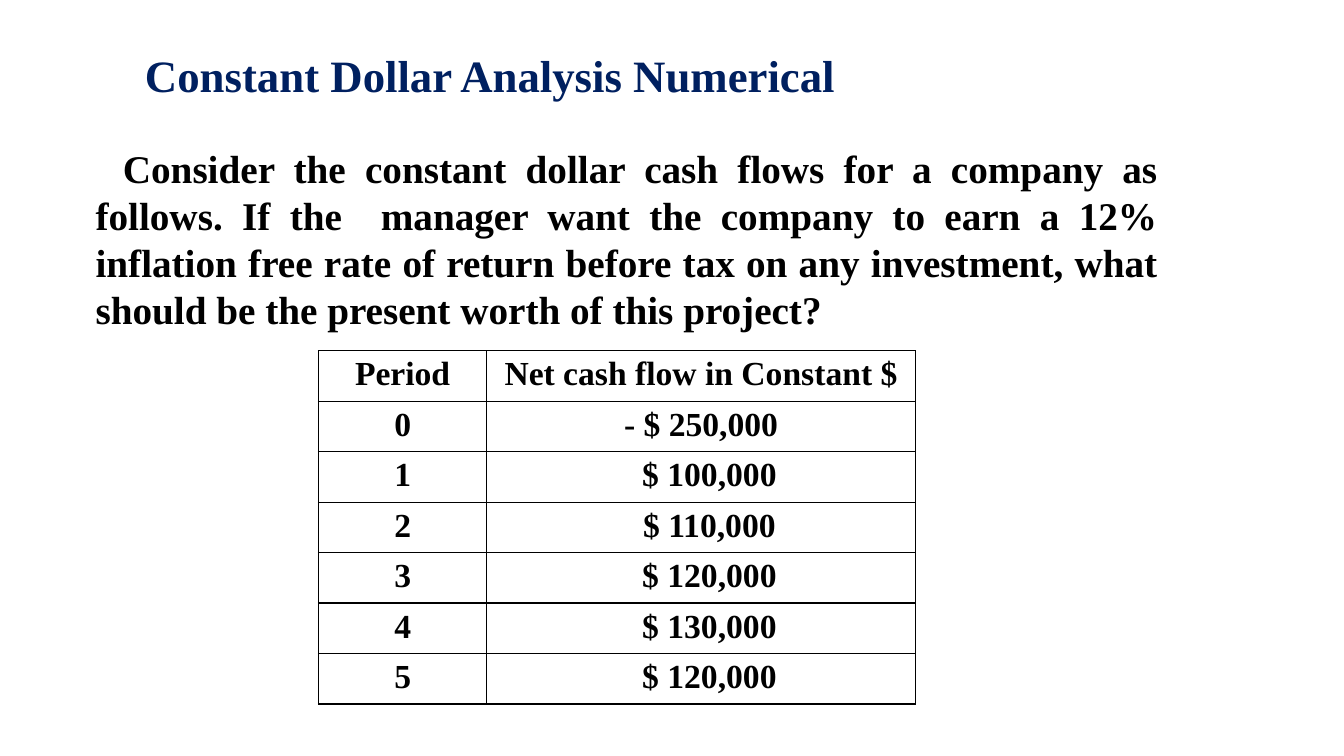
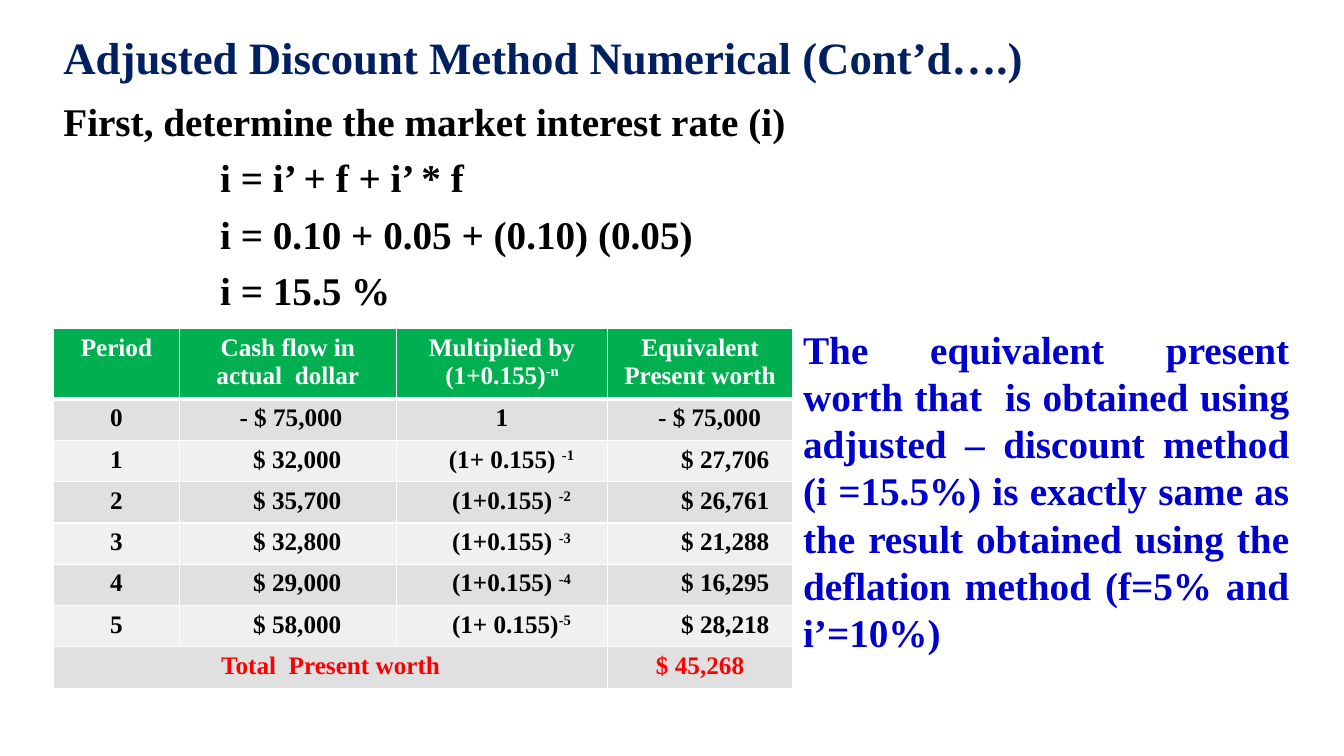
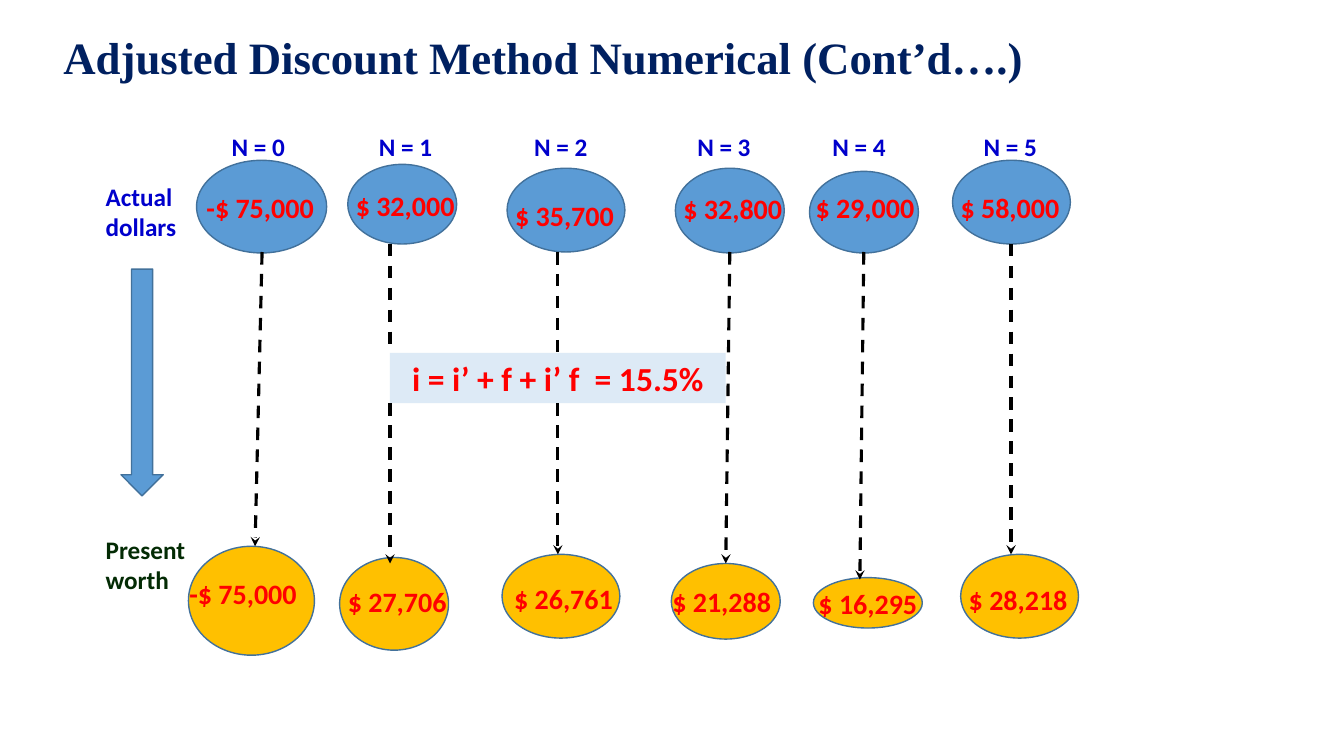
from lxml.etree import SubElement
from pptx import Presentation
from pptx.dml.color import RGBColor
from pptx.enum.dml import MSO_LINE
from pptx.enum.shapes import MSO_CONNECTOR, MSO_SHAPE
from pptx.enum.text import MSO_ANCHOR, PP_ALIGN
from pptx.oxml.ns import qn
from pptx.util import Pt

HUES = {
    "navy": "002060", "black": "000000", "white": "FFFFFF", "red": "FF0000",
    "blue": "0000CC", "pine": "032B04", "green": "00B050", "dark": "E0E0E0",
    "light": "F0F0F0", "sky": "5B9BD5", "edge": "42719B", "gold": "FFC000",
    "pale": "DDEAF6",
}
TONES = {name: RGBColor.from_string(code) for name, code in HUES.items()}
SERIF, SANS = "Times New Roman", "Calibri"


def say(par, text, size, font, tone):
    for spot, part in enumerate(text.split("^")):
        run = par.add_run()
        run.text = part
        run.font.size = Pt(size)
        run.font.name = font
        run.font.bold = True
        run.font.color.rgb = TONES[tone]
        if spot:
            run.font._element.set("baseline", "30000")


def put(page, place, lines, size, font, tone, align=PP_ALIGN.LEFT):
    frame = page.shapes.add_textbox(*map(Pt, place)).text_frame
    frame.word_wrap = True
    for spot, text in enumerate(lines):
        par = frame.add_paragraph() if spot else frame.paragraphs[0]
        par.alignment = align
        say(par, text, size, font, tone)
    return frame


deck = Presentation()
deck.slide_width, deck.slide_height = Pt(960), Pt(540)
pages = [deck.slides.add_slide(deck.slide_layouts[6]) for _ in range(3)]
first, second, third = pages

NEXT = "Adjusted Discount Method Numerical (Cont’d….)"
HEADS = [
    ("Constant Dollar Analysis Numerical", (96.5, 3.6, 828, 104.4)),
    (NEXT, (38.2, 0, 828, 85)),
    (NEXT, (38.2, 0, 828, 85)),
]
for page, (text, place) in zip(pages, HEADS):
    frame = put(page, place, [text], 32, SERIF, "navy")
    frame.vertical_anchor = MSO_ANCHOR.MIDDLE
    frame.paragraphs[0].line_spacing = 0.9

task = put(first, (43.2, 99.4, 790.6, 151.2), [
    "Consider the constant dollar cash flows for a company as follows. If the  manager "
    "want the company to earn a 12% inflation free rate of return before tax on any "
    "investment, what should be the present worth of this project?",
], 28, SERIF, "black", PP_ALIGN.JUSTIFY)
props = task.paragraphs[0]._p.get_or_add_pPr()
props.set("marL", str(Pt(18)))
props.set("indent", str(Pt(19.5)))

steps = put(second, (38.2, 69.8, 828, 342.7), [
    "First, determine the market interest rate (i)",
    "i = i’ + f + i’ * f",
    "i = 0.10 + 0.05 + (0.10) (0.05)",
    "i = 15.5 %",
], 28, SERIF, "black")
for spot, par in enumerate(steps.paragraphs):
    par.line_spacing = 0.9
    if spot:
        par.space_before = Pt(10)
        par._p.get_or_add_pPr().set("marL", str(Pt(112)))

put(second, (566.6, 229, 361.4, 244.8), [
    "The equivalent present worth that  is obtained using adjusted – discount method "
    "(i =15.5%) is exactly same as the result obtained using the deflation method "
    "(f=5% and i’=10%)",
], 28, SERIF, "blue", PP_ALIGN.JUSTIFY)

flows = ["- $ 250,000", "$ 100,000", "$ 110,000", "$ 120,000", "$ 130,000", "$ 120,000"]
cash = ["- $ 75,000", "$ 32,000", "$ 35,700", "$ 32,800", "$ 29,000", "$ 58,000"]
rates = ["1", "(1+ 0.155) ^-1", "(1+0.155) ^-2", "(1+0.155) ^-3", "(1+0.155) ^-4",
         "(1+ 0.155)^-5"]
worth = ["- $ 75,000", "$ 27,706", "$ 26,761", "$ 21,288", "$ 16,295", "$ 28,218"]
years = [str(year) for year in range(6)]

plain = [("Period", "Net cash flow in Constant $"), *zip(years, flows)]
full = [
    ("Period", "Cash flow in actual  dollar", "Multiplied by (1+0.155)^-n",
     "Equivalent Present worth"),
    *zip(years, cash, rates, worth),
    ("Total  Present worth", "", "", "$ 45,268"),
]
GRIDS = [
    (first, (227.5, 250.6), (120.2, 306), plain, 24, "black", 29.5,
     [(0, 0), (0, 12)]),
    (second, (38.2, 234.7), (90, 154.8, 151.2, 131.8), full, 18, "white", 50.4,
     [(0, 4.5, 0, 13.5), (0, 13.5, 13.5, 36)]),
]
for page, (left, top), wides, rows, size, edge, tall, pads in GRIDS:
    high = tall + 29.5 * (len(rows) - 1)
    grid = page.shapes.add_table(
        len(rows), len(wides), Pt(left), Pt(top), Pt(sum(wides)), Pt(high)).table
    for col, wide in zip(grid.columns, wides):
        col.width = Pt(wide)
    rich = page is second
    for r, texts in enumerate(rows):
        grid.rows[r].height = Pt(29.5 if r else tall)
        last = r == 7
        tone = "red" if last else "white" if rich and not r else "black"
        for c, text in enumerate(texts):
            cell = grid.cell(r, c)
            for side in "LRTB":
                thick = rich and (r, side) in ((0, "B"), (1, "T"))
                line = SubElement(cell._tc.get_or_add_tcPr(), qn("a:ln" + side),
                                  w=str(Pt(3 if thick else 1)))
                fill = SubElement(line, qn("a:solidFill"))
                SubElement(fill, qn("a:srgbClr"), val=HUES[edge])
            if rich:
                cell.fill.solid()
                shade = "green" if r == 0 else "dark" if r % 2 else "light"
                cell.fill.fore_color.rgb = TONES["dark" if last else shade]
            else:
                cell.fill.background()
            pad = pads[min(r - 1, 1)][c] if 0 < r < 7 else 0
            cell.margin_left = Pt(7.2 + pad)
            par = cell.text_frame.paragraphs[0]
            par.alignment = PP_ALIGN.CENTER
            if text:
                say(par, text, size, SERIF, tone)
    if rich:
        grid.cell(7, 0).merge(grid.cell(7, 2))

OVAL = MSO_SHAPE.OVAL
FORMS = [
    (OVAL, "sky", (140.4, 114.5, 92.9, 66.2)),
    (OVAL, "sky", (248.4, 117.4, 77.8, 56.9)),
    (OVAL, "sky", (362.2, 120.2, 84.2, 59.8)),
    (OVAL, "sky", (482.4, 120.2, 77.8, 60.5)),
    (OVAL, "sky", (578.2, 122.4, 77.8, 58.3)),
    (OVAL, "sky", (680.4, 114.5, 84.2, 59.8)),
    (OVAL, "gold", (134.6, 390.2, 90, 77.8)),
    (OVAL, "gold", (242.6, 398.2, 77.8, 66.2)),
    (OVAL, "gold", (358.6, 396, 84.2, 59.8)),
    (OVAL, "gold", (479.5, 402.5, 77.8, 54)),
    (OVAL, "gold", (581, 412.6, 77.8, 36)),
    (OVAL, "gold", (686.2, 396, 84.2, 59.8)),
    (MSO_SHAPE.DOWN_ARROW, "sky", (86.4, 192.2, 30.2, 162)),
    (MSO_SHAPE.RECTANGLE, "pale", (278.6, 252, 239.8, 36)),
]
for kind, hue, place in FORMS:
    form = third.shapes.add_shape(kind, *map(Pt, place))
    form.shadow.inherit = False
    form.fill.solid()
    form.fill.fore_color.rgb = TONES[hue]
    if hue == "pale":
        form.line.fill.background()
    else:
        form.line.color.rgb = TONES["edge"]
        form.line.width = Pt(1)

rate = form
rate.text_frame.word_wrap = True
par = rate.text_frame.paragraphs[0]
par.alignment = PP_ALIGN.CENTER
say(par, "i = i’ + f + i’ f  = 15.5%", 24, SANS, "red")

above = [(140.4, 132.5), (247.1, 131), (360.9, 138.2), (481.1, 133.2), (575.5, 132.5),
         (679.1, 132.5)]
below = [(128.2, 408.2), (241.4, 414), (360.2, 411.8), (473.2, 414), (577.6, 415.4),
         (684.9, 412.6)]
for sums, spots in ((cash, above), (worth, below)):
    for text, (x, y) in zip(sums, spots):
        put(third, (x, y, 95.8, 31.7), [text.replace("- ", "-")], 20, SANS, "red")

for year, x in zip(years, (158.4, 263.5, 374.4, 491, 587.5, 695.5)):
    put(third, (x, 90, 66, 28.8), ["N = " + year], 18, SANS, "blue")
put(third, (68.4, 126, 72, 51.1), ["Actual", "dollars"], 18, SANS, "blue")
put(third, (68.4, 378, 84.2, 51.1), ["Present", "worth"], 18, SANS, "pine")

LINKS = [
    ((187.2, 180, 182.2, 390.2), True),
    ((278.6, 174.2, 278.6, 252), False),
    ((278.6, 288, 278.6, 402.5), True),
    ((398.5, 180, 398.5, 252), False),
    ((398.5, 288, 398.5, 396), True),
    ((521.3, 180, 518.4, 402.5), True),
    ((617, 180, 614.2, 414), True),
    ((722.2, 174.2, 722.2, 396), True),
]
for ends, head in LINKS:
    link = third.shapes.add_connector(MSO_CONNECTOR.STRAIGHT, *map(Pt, ends))
    link.line.color.rgb = TONES["black"]
    link.line.width = Pt(2.25)
    link.line.dash_style = MSO_LINE.DASH
    if head:
        SubElement(link.line._get_or_add_ln(), qn("a:tailEnd"), type="stealth")
    SubElement(link._element.spPr, qn("a:effectLst"))
    if ends[0] == 398.5:
        if head:
            link.begin_connect(rate, 2)
        else:
            link.end_connect(rate, 0)

deck.save("out.pptx")
